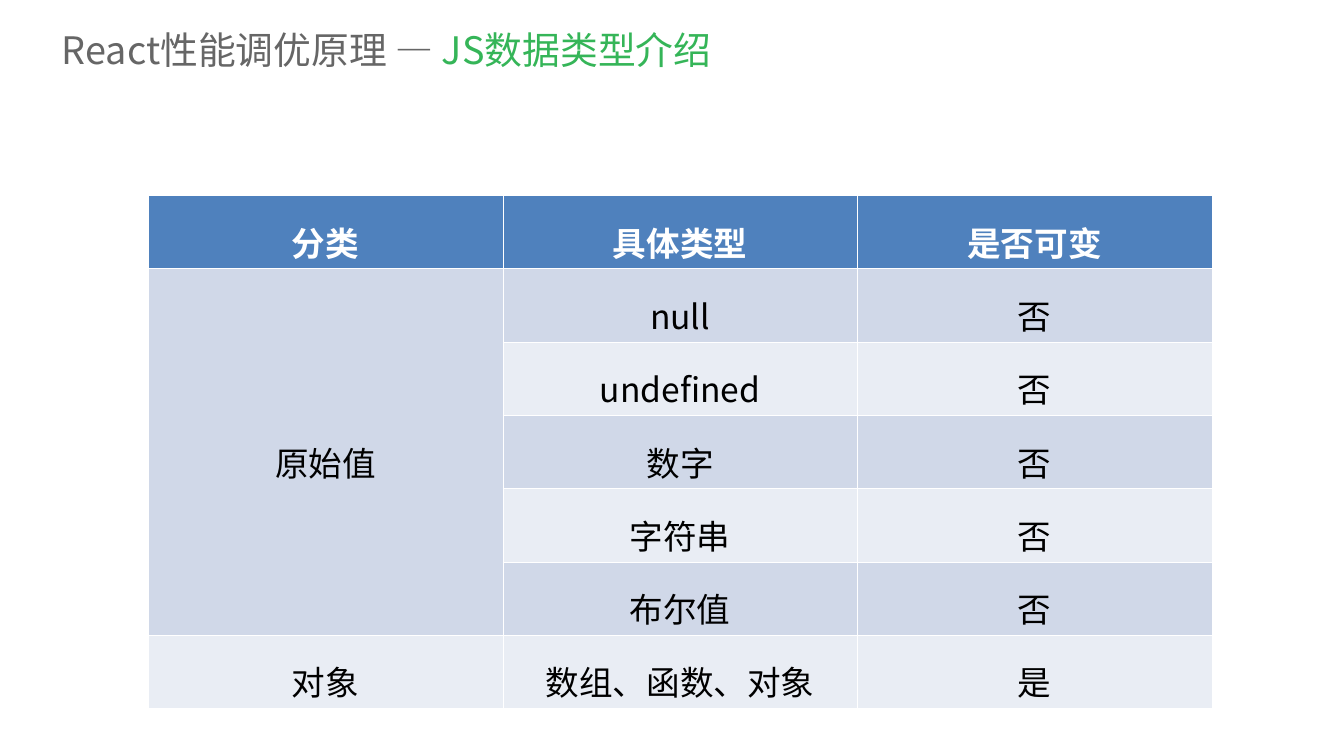
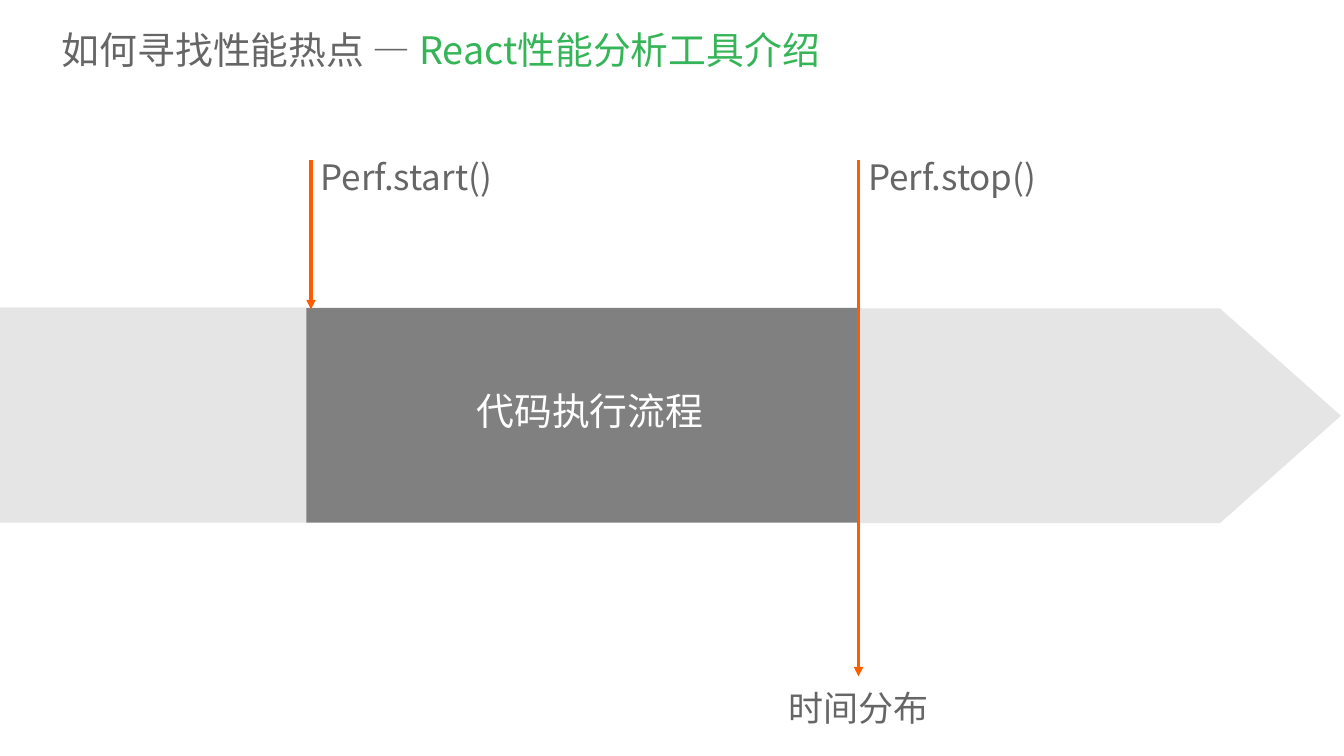
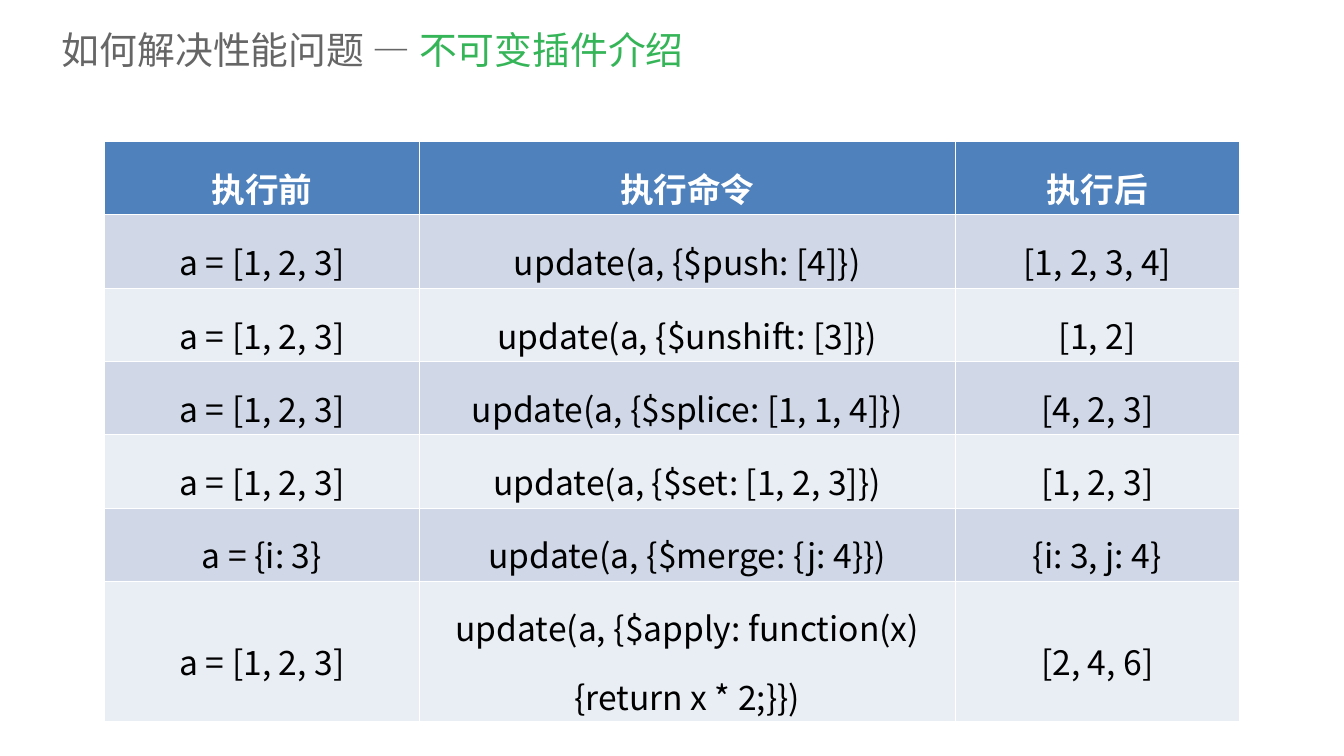
"""Build three slides on React performance: two tables and one profiling timeline."""
import pptx
import pptx.dml.color
import pptx.enum.shapes
import pptx.enum.text
import pptx.oxml
import pptx.oxml.ns
import pptx.util
import lxml.etree


class Theme:
    grey, green, orange = "666666", "35B558", "FF5C00"
    white, black, bar = "FFFFFF", "000000", "808080"
    header, bands = "4F81BD", ("D0D8E8", "E9EDF4")
    sans, arial = "Noto Sans CJK SC", "Arial"
    title, label, cell = 54, 50, 48
    thin, thick, arrow = 0.45, 1.47, 4.5


RGB = pptx.dml.color.RGBColor.from_string
Pt = pptx.util.Pt
qn = pptx.oxml.ns.qn
ALIGN = pptx.enum.text.PP_ALIGN
ANCHOR = pptx.enum.text.MSO_ANCHOR
GROW = pptx.enum.text.MSO_AUTO_SIZE.SHAPE_TO_FIT_TEXT
RECT = pptx.enum.shapes.MSO_SHAPE.RECTANGLE
STRAIGHT = pptx.enum.shapes.MSO_CONNECTOR.STRAIGHT

prs = pptx.Presentation()
prs.slide_width, prs.slide_height = pptx.util.Inches(26.66), pptx.util.Inches(15)


def share(*percents):
    """Turn alternating x and y percentages of the slide into lengths."""
    sides = prs.slide_width, prs.slide_height
    return [round(v * sides[i % 2] / 100) for i, v in enumerate(percents)]


def write(tf, runs, size, font=Theme.sans, bold=False, frame=None, para=None):
    """Fill a text frame with one paragraph of (text, colour) runs."""
    p = tf.paragraphs[0]
    for target, values in ((tf, {"word_wrap": True, **(frame or {})}), (p, para or {})):
        for name, value in values.items():
            setattr(target, name, value)
    for text, colour in runs:
        r = p.add_run()
        r.text = text
        for name, value in {"size": Pt(size), "name": font, "bold": bold}.items():
            setattr(r.font, name, value)
        r.font.color.rgb = RGB(colour)
        lxml.etree.SubElement(r._r.get_or_add_rPr(), qn("a:ea"), typeface=Theme.sans)


titles = [
    ("React性能调优原理 — ", "JS数据类型介绍"),
    ("如何寻找性能热点 — ", "React性能分析工具介绍"),
    ("如何解决性能问题 — ", "不可变插件介绍"),
]
for topic, subject in titles:
    s = prs.slides.add_slide(prs.slide_layouts[6])
    tf = s.shapes.add_textbox(*share(4.24, 2.87, 94.34, 7.33)).text_frame
    write(tf, [(topic, Theme.grey), (subject, Theme.green)], Theme.title,
          frame={"vertical_anchor": ANCHOR.MIDDLE})
types_slide, perf_slide, update_slide = prs.slides

type_rows = [
    ("分类", "具体类型", "是否可变"),
    ("原始值", "null", "否"),
    ("", "undefined", "否"),
    ("", "数字", "否"),
    ("", "字符串", "否"),
    ("", "布尔值", "否"),
    ("对象", "数组、函数、对象", "是"),
]
update_rows = [
    ("执行前", "执行命令", "执行后"),
    ("a = [1, 2, 3]", "update(a, {$push: [4]})", "[1, 2, 3, 4]"),
    ("a = [1, 2, 3]", "update(a, {$unshift: [3]})", "[1, 2]"),
    ("a = [1, 2, 3]", "update(a, {$splice: [1, 1, 4]})", "[4, 2, 3]"),
    ("a = [1, 2, 3]", "update(a, {$set: [1, 2, 3]})", "[1, 2, 3]"),
    ("a = {i: 3}", "update(a, {$merge: {j: 4}})", "{i: 3, j: 4}"),
    ("a = [1, 2, 3]", "update(a, {$apply: function(x) {return x * 2;}})", "[2, 4, 6]"),
]
tables = [
    (types_slide, type_rows, (11.03, 25.87), [26.38] * 3, [9.69] * 7, ANCHOR.TOP),
    (update_slide, update_rows, (7.76, 18.73), [23.46, 39.84, 21.16],
     [9.69] * 6 + [18.6], ANCHOR.MIDDLE),
]
for s, rows, corner, widths, heights, anchor in tables:
    table = s.shapes.add_table(len(rows), len(widths), *share(*corner, sum(widths), sum(heights))).table
    table.horz_banding = False
    for column, width in zip(table.columns, widths):
        column.width = share(width)[0]
    for i, (row, height) in enumerate(zip(rows, heights)):
        table.rows[i].height = share(0, height)[1]
        for j, text in enumerate(row):
            cell = table.cell(i, j)
            cell.fill.solid()
            cell.fill.fore_color.rgb = RGB(Theme.bands[(i - 1) % 2] if i else Theme.header)
            cell.vertical_anchor = anchor
            if text:
                write(cell.text_frame, [(text, Theme.black if i else Theme.white)], Theme.cell,
                      bold=i == 0, para={"alignment": ALIGN.CENTER, "line_spacing": 1.4})
            for k, side in enumerate("LRTB"):
                heavy = (i, side) in ((0, "B"), (1, "T"))
                ln = pptx.oxml.parse_xml(
                    f'<a:ln{side} {pptx.oxml.ns.nsdecls("a")} '
                    f'w="{Pt(Theme.thick if heavy else Theme.thin)}">'
                    f'<a:solidFill><a:srgbClr val="{Theme.white}"/></a:solidFill></a:ln{side}>')
                cell._tc.get_or_add_tcPr().insert(k, ln)
    if s is types_slide:
        table.cell(1, 0).merge(table.cell(5, 0))
        table.cell(1, 0).vertical_anchor = ANCHOR.MIDDLE

s = perf_slide
layers = [
    (Theme.bar, 100, (-0.34, 40.73, 64.44, 28.4), (63.8, 90.77, 99.77), (40.8, 55, 69.2)),
    (Theme.white, 80, (-0.49, 40.73, 23.29, 28.93), (63.88, 90.92, 99.96), (40.4, 55.05, 69.67)),
]
for colour, opacity, body, (left, neck, tip), (top, middle, bottom) in layers:
    outline = s.shapes.build_freeform(*share(left, top))
    outline.add_line_segments([share(*point) for point in (
        (neck, top), (tip, middle), (neck, bottom), (left, bottom))])
    for sp in (outline.convert_to_shape(), s.shapes.add_shape(RECT, *share(*body))):
        sp.shadow.inherit = False
        sp.line.fill.background()
        sp.fill.solid()
        sp.fill.fore_color.rgb = RGB(colour)
        if opacity < 100:
            fill = sp._element.spPr.find(qn("a:solidFill"))
            lxml.etree.SubElement(fill[0], qn("a:alpha"), val=str(opacity * 1000))

labels = [
    ("代码执行流程", (29.18, 50.93, 29.41, 6.67), Theme.title, Theme.arial, Theme.white, ALIGN.CENTER),
    ("Perf.start()", (23.48, 20.2, 13.84, 6.27), Theme.label, Theme.sans, Theme.grey, ALIGN.LEFT),
    ("Perf.stop()", (64.22, 20.2, 13.84, 6.27), Theme.label, Theme.sans, Theme.grey, ALIGN.LEFT),
    ("时间分布", (56.98, 90.47, 13.84, 6.27), Theme.label, Theme.arial, Theme.grey, ALIGN.CENTER),
]
for text, place, size, font, colour, align in labels:
    write(s.shapes.add_textbox(*share(*place)).text_frame, [(text, colour)], size, font,
          frame={"auto_size": GROW}, para={"alignment": align})

for x, end in ((23.14, 40.93), (63.88, 89.47)):
    line = s.shapes.add_connector(STRAIGHT, *share(x, 21.13, x, end))
    line.line.color.rgb = RGB(Theme.orange)
    line.line.width = Pt(Theme.arrow)
    lxml.etree.SubElement(line.line._get_or_add_ln(), qn("a:tailEnd"), type="triangle")
    lxml.etree.SubElement(line._element.spPr, qn("a:effectLst"))

prs.save("out.pptx")
